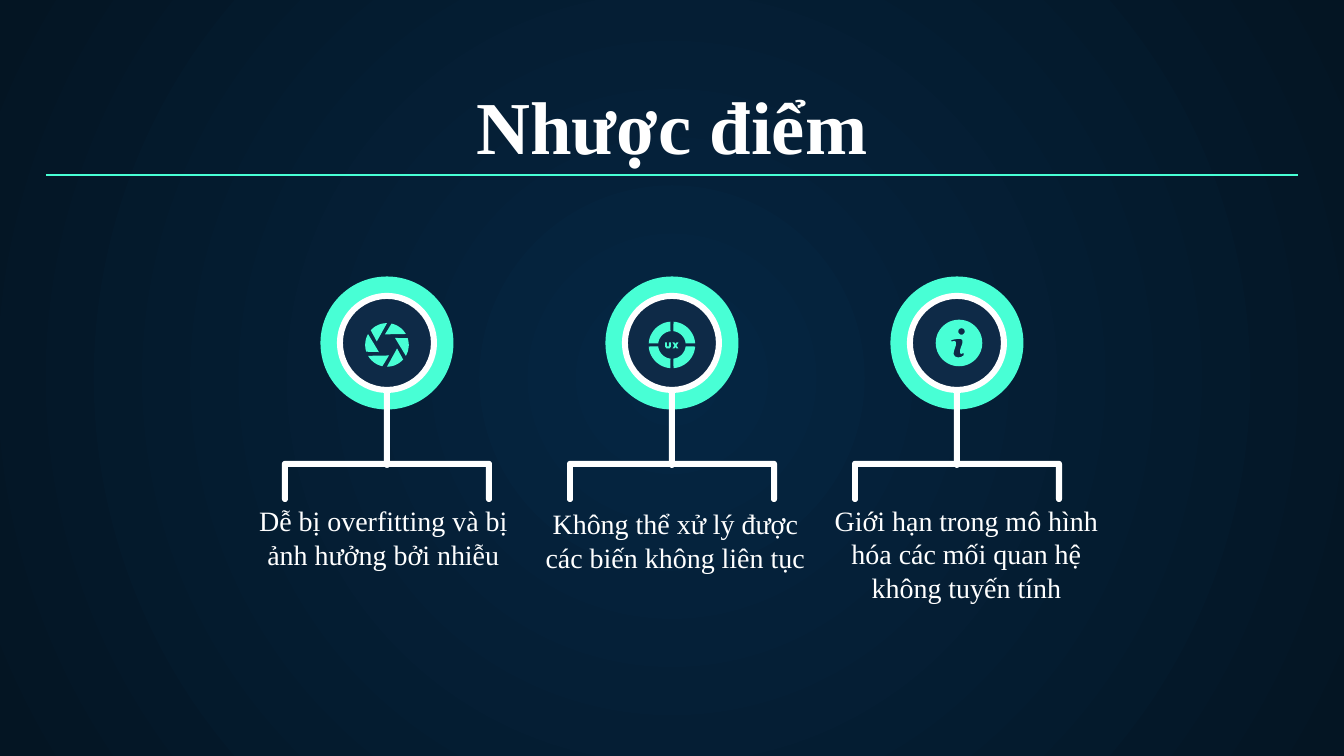
from math import cos, radians, sin

from lxml.etree import SubElement
from pptx import Presentation
from pptx.dml.color import RGBColor
from pptx.enum.shapes import MSO_CONNECTOR, MSO_SHAPE
from pptx.enum.text import MSO_ANCHOR, MSO_AUTO_SIZE, PP_ALIGN
from pptx.oxml.ns import qn
from pptx.util import Pt

EMU_PER_PX = 914400 / 134.4
COLORS = {
    "centre": "052643",
    "edge": "041523",
    "mint": "48FFD5",
    "navy": "0E2A47",
    "white": "FFFFFF",
}
FONT = "Times New Roman"
TITLE = "Nhược điểm"
COLUMNS = [  # caption, caption left and top, icon, icon offset
    ("Dễ bị overfitting và bị ảnh hưởng bởi nhiễu", (231, 556), "aperture", (0, 2)),
    ("Không thể xử lý được các biến không liên tục", (523, 559), "target", (0, 2)),
    ("Giới hạn trong mô hình hóa các mối quan hệ không tuyến tính", (814, 589), "info", (2, 0)),
]
FIRST_CENTRE, PITCH, CENTRE_Y = 387, 285, 343
CAPTION_SIZE = (305, 28)

LETTER_U = [(-7, -2.5), (-5, -2.5), (-5, 1), (-4, 2), (-3, 1), (-3, -2.5), (-1, -2.5),
            (-1, 1.5), (-2.5, 3.5), (-5.5, 3.5), (-7, 1.5)]
LETTER_X = [(0.5, -2.5), (2.5, -2.5), (3.5, -1), (4.5, -2.5), (6.5, -2.5), (4.5, 0.5),
            (6.5, 3.5), (4.5, 3.5), (3.5, 2), (2.5, 3.5), (0.5, 3.5), (2.5, 0.5)]
LETTER_I = [(-2, -4), (2, -4), (3.5, -2.5), (3.5, 0), (1, 7), (1, 10), (2, 11), (4.5, 10),
            (4.5, 12.5), (2, 14), (-1, 14.5), (-4, 13.5), (-5.5, 11), (-5, 8), (-3, 2),
            (-3, -1), (-4.5, -2), (-7.5, -1.5), (-7.5, -3)]


def px(value):
    return round(value * EMU_PER_PX)


def box(*values):
    return [px(value) for value in values]


def color(name):
    return RGBColor.from_string(COLORS[name])


def arc(x, y, radius, start, end, steps=12):
    """Points along an arc; angles in degrees, clockwise from the right."""
    angles = [radians(start + (end - start) * step / steps) for step in range(steps + 1)]
    return [(x + radius * cos(angle), y + radius * sin(angle)) for angle in angles]


def aperture_blade(turn):
    tip = arc(0, 0, 10.7, 79 + turn, 79 + turn, 1)[:1]
    return tip + arc(0, 0, 21.8, 150 + turn, 102 + turn)


def target_quarter(turn):
    return arc(0, 0, 23.3, turn + 4, turn + 86) + arc(0, 0, 13.8, turn + 84, turn + 6)


# Each icon is a list of parts; each part is a list of contours
ICONS = {
    "aperture": [[aperture_blade(turn)] for turn in range(0, 360, 60)],
    "target": [[target_quarter(turn)] for turn in range(0, 360, 90)] + [[LETTER_U], [LETTER_X]],
    "info": [[arc(0, 0, 23.3, 0, 360, 48), arc(2.5, -11.5, 3.3, 360, 0), LETTER_I]],
}
BRACKET = (
    arc(-102, 121, 3, 180, 270) + arc(102, 121, 3, 270, 360)
    + arc(102, 156, 3, 0, 180) + [(99, 124), (-99, 124)] + arc(-102, 156, 3, 0, 180)
)


def paint(shape, color_name):
    shape.shadow.inherit = False
    shape.fill.solid()
    shape.fill.fore_color.rgb = color(color_name)
    shape.line.fill.background()


def add_outline(shapes, contours, x, y, color_name):
    placed = [[(px(x + dx), px(y + dy)) for dx, dy in contour] for contour in contours]
    builder = shapes.build_freeform(*placed[0][0], scale=1.0)
    builder.add_line_segments(placed[0][1:], close=True)
    for contour in placed[1:]:
        builder.move_to(*contour[0])
        builder.add_line_segments(contour[1:], close=True)
    paint(builder.convert_to_shape(), color_name)


def add_disc(shapes, x, y, diameter, color_name, kind=MSO_SHAPE.OVAL):
    corner = diameter / 2
    disc = shapes.add_shape(kind, *box(x - corner, y - corner, diameter, diameter))
    paint(disc, color_name)
    return disc


def write(shape, text, size, bold=False):
    frame = shape.text_frame
    frame.text = text
    frame_format = {
        "word_wrap": True,
        "auto_size": MSO_AUTO_SIZE.NONE,
        "vertical_anchor": MSO_ANCHOR.BOTTOM,
        **{f"margin_{side}": px(13) for side in ("left", "right", "top", "bottom")},
    }
    for name, value in frame_format.items():
        setattr(frame, name, value)
    paragraph = frame.paragraphs[0]
    paragraph.alignment = PP_ALIGN.CENTER
    for name, value in {"name": FONT, "size": Pt(size), "bold": bold}.items():
        setattr(paragraph.font, name, value)
    paragraph.font.color.rgb = color("white")


def set_background(slide):
    fill = slide.background.fill
    fill.gradient()
    for stop, name, position in zip(fill.gradient_stops, ("centre", "edge"), (0, 1)):
        stop.color.rgb = color(name)
        stop.position = position
    gradient = slide.element.find(".//" + qn("a:gradFill"))
    gradient.remove(gradient.find(qn("a:lin")))
    circle = SubElement(gradient, qn("a:path"), {"path": "circle"})
    SubElement(circle, qn("a:fillToRect"), dict.fromkeys("ltrb", "50000"))


def add_column(slide, x, icon, offset):
    shapes, y = slide.shapes, CENTRE_Y
    add_outline(shapes, [BRACKET], x, y, "white")
    add_disc(shapes, x, y, 133, "mint")
    stem = shapes.add_shape(MSO_SHAPE.ROUNDED_RECTANGLE, *box(x - 3, y - 10, 6, 135))
    stem.adjustments[0] = 0.5
    paint(stem, "white")
    add_disc(shapes, x, y, 94, "navy")
    ring = add_disc(shapes, x, y, 100, "white", MSO_SHAPE.DONUT)
    ring.adjustments[0] = 0.06
    parts = ICONS[icon]
    target = shapes.add_group_shape().shapes if len(parts) > 1 else shapes
    for contours in parts:
        add_outline(target, contours, x + offset[0], y + offset[1], "mint")


def main():
    presentation = Presentation()
    presentation.slide_width, presentation.slide_height = box(1344, 756)
    slide = presentation.slides.add_slide(presentation.slide_layouts[5])
    set_background(slide)

    title = slide.shapes.title
    title.left, title.top, title.width, title.height = box(46, 94, 1252, 89)
    write(title, TITLE, 40, bold=True)

    for index, (caption, corner, icon, offset) in enumerate(COLUMNS):
        write(slide.shapes.add_textbox(*box(*corner, *CAPTION_SIZE)), caption, 15)
        add_column(slide, FIRST_CENTRE + index * PITCH, icon, offset)

    rule = slide.shapes.add_connector(MSO_CONNECTOR.STRAIGHT, *box(46, 175, 1298, 175))
    rule.line.color.rgb = color("mint")
    rule.line.width = Pt(0.75)
    SubElement(rule.element.spPr, qn("a:effectLst"))

    presentation.save("out.pptx")


if __name__ == "__main__":
    main()
